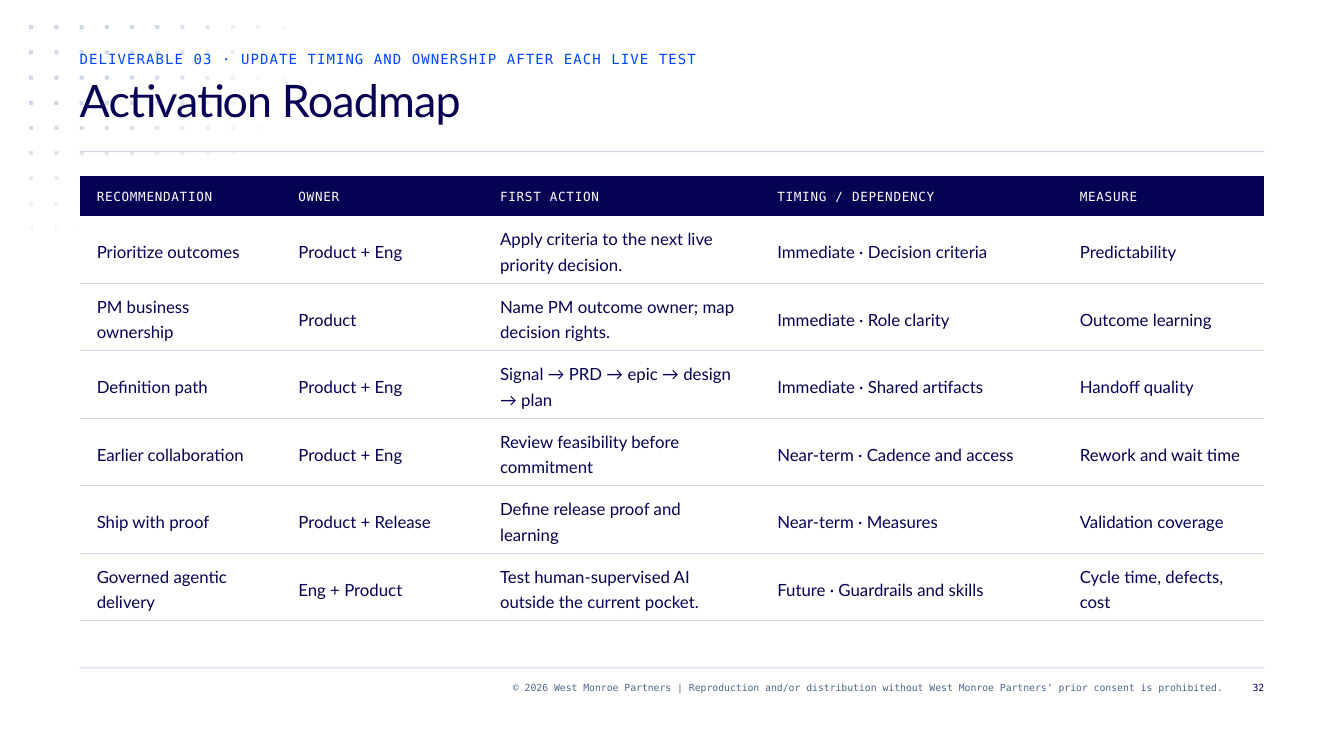
import math
import pptx
import pptx.dml.color
import pptx.enum.shapes
import pptx.enum.text
import pptx.oxml
import pptx.oxml.ns
import pptx.util

Inches = pptx.util.Inches
Pt = pptx.util.Pt
Align = pptx.enum.text.PP_ALIGN
Anchor = pptx.enum.text.MSO_ANCHOR
theme = {
    "navy": "070154", "blue": "0047FF", "slate": "50658E",
    "rule": "CED7E6", "white": "FFFFFF",
    "sans": "Lato", "mono": "DejaVu Sans Mono",
    "title": 32, "body": 12, "label": 10, "head": 9, "foot": 7,
}
space = pptx.oxml.ns.nsdecls("a")


def write(text, frame, size, lead, color="navy", font="mono", track=0, align=Align.LEFT):
    frame.word_wrap = True
    para = frame.paragraphs[0]
    para.alignment = align
    para.line_spacing = Pt(lead)
    run = para.add_run()
    run.text = text
    run.font.size = Pt(theme[size])
    run.font.name = theme[font]
    run.font.color.rgb = pptx.dml.color.RGBColor.from_string(theme[color])
    if track:
        run._r.get_or_add_rPr().set("spc", str(round(track * 100)))


def block(x, y, w, h, alpha=100):
    shape = slide.shapes.add_shape(
        pptx.enum.shapes.MSO_SHAPE.RECTANGLE, Inches(x), Inches(y), Inches(w), Inches(h))
    shape.shadow.inherit = False
    shape.line.fill.background()
    shape.fill.solid()
    shape.fill.fore_color.rgb = pptx.dml.color.RGBColor.from_string(theme["rule"])
    if alpha < 100:
        tint = shape.element.spPr.find(".//" + pptx.oxml.ns.qn("a:srgbClr"))
        tint.append(pptx.oxml.parse_xml(f'<a:alpha {space} val="{alpha * 1000}"/>'))


deck = pptx.Presentation()
deck.slide_width = Inches(13.33)
deck.slide_height = Inches(7.5)
slide = deck.slides.add_slide(deck.slide_layouts[5])
left, width = 0.79, 11.75

for col in range(11):
    for row in range(9):
        alpha = round(153 - math.hypot(13.8 * col, 16.9 * row))
        if alpha >= 2:
            block(0.29 + 0.25 * col, 0.25 + 0.25 * row, 0.04, 0.04, min(alpha, 100))

for y in (1.5, 6.62):
    block(left, y, width, 0.01)

title = slide.shapes.title
slide.shapes.element.append(title.element)
title.left, title.top = Inches(left), Inches(0.75)
title.width, title.height = Inches(width), Inches(0.75)
lines = [
    (title, "Activation Roadmap",
     dict(size="title", lead=36, font="sans", track=-0.6)),
]
for text, x, y, w, h, form in (
    ("DELIVERABLE 03 · UPDATE TIMING AND OWNERSHIP AFTER EACH LIVE TEST",
     left, 0.5, width, 0.17, dict(size="label", lead=12, color="blue", track=0.8)),
    ("© 2026 West Monroe Partners | Reproduction and/or distribution without "
     "West Monroe Partners’ prior consent is prohibited.",
     2.38, 6.75, 9.75, 0.25, dict(size="foot", lead=9, color="slate", align=Align.RIGHT)),
    ("32", 12.21, 6.75, 0.33, 0.25, dict(size="foot", lead=9, align=Align.RIGHT)),
):
    box = slide.shapes.add_textbox(Inches(x), Inches(y), Inches(w), Inches(h))
    lines.append((box, text, form))

for box, text, form in lines:
    frame = box.text_frame
    frame.margin_left = frame.margin_right = frame.margin_top = frame.margin_bottom = 0
    frame.vertical_anchor = Anchor.TOP
    frame.auto_size = pptx.enum.text.MSO_AUTO_SIZE.NONE
    write(text, frame, **form)

rows = [
    ("RECOMMENDATION", "OWNER", "FIRST ACTION", "TIMING / DEPENDENCY", "MEASURE"),
    ("Prioritize outcomes", "Product + Eng",
     "Apply criteria to the next live priority decision.",
     "Immediate · Decision criteria", "Predictability"),
    ("PM business ownership", "Product",
     "Name PM outcome owner; map decision rights.",
     "Immediate · Role clarity", "Outcome learning"),
    ("Definition path", "Product + Eng",
     "Signal → PRD → epic → design → plan",
     "Immediate · Shared artifacts", "Handoff quality"),
    ("Earlier collaboration", "Product + Eng",
     "Review feasibility before commitment",
     "Near-term · Cadence and access", "Rework and wait time"),
    ("Ship with proof", "Product + Release",
     "Define release proof and learning",
     "Near-term · Measures", "Validation coverage"),
    ("Governed agentic delivery", "Eng + Product",
     "Test human-supervised AI outside the current pocket.",
     "Future · Guardrails and skills", "Cycle time, defects, cost"),
]
widths = (2, 2, 2.75, 3, 2)
holder = slide.shapes.add_table(
    len(rows), len(widths), Inches(left), Inches(1.75), Inches(width), Inches(4.39))
table = holder.table
table.horz_banding = False
style = holder.element.find(".//" + pptx.oxml.ns.qn("a:tableStyleId"))
style.text = "{2D5ABB26-0587-4C30-8999-92F81FD0307C}"
for col, w in enumerate(widths):
    table.columns[col].width = Inches(w)

for r, texts in enumerate(rows):
    table.rows[r].height = Inches(0.67 if r else 0.39)
    for c, text in enumerate(texts):
        cell = table.cell(r, c)
        cell.margin_left = cell.margin_right = Inches(0.17)
        cell.margin_top = cell.margin_bottom = 0
        cell.vertical_anchor = Anchor.MIDDLE
        cell.fill.solid()
        fill = theme["white" if r else "navy"]
        cell.fill.fore_color.rgb = pptx.dml.color.RGBColor.from_string(fill)
        if r:
            write(text, cell.text_frame, "body", 18, font="sans")
            cell._tc.get_or_add_tcPr().insert(0, pptx.oxml.parse_xml(
                f'<a:lnB {space} w="9525"><a:solidFill>'
                f'<a:srgbClr val="{theme["rule"]}"/></a:solidFill></a:lnB>'))
        else:
            write(text, cell.text_frame, "head", 12, color="white", track=0.5)

deck.save("out.pptx")
